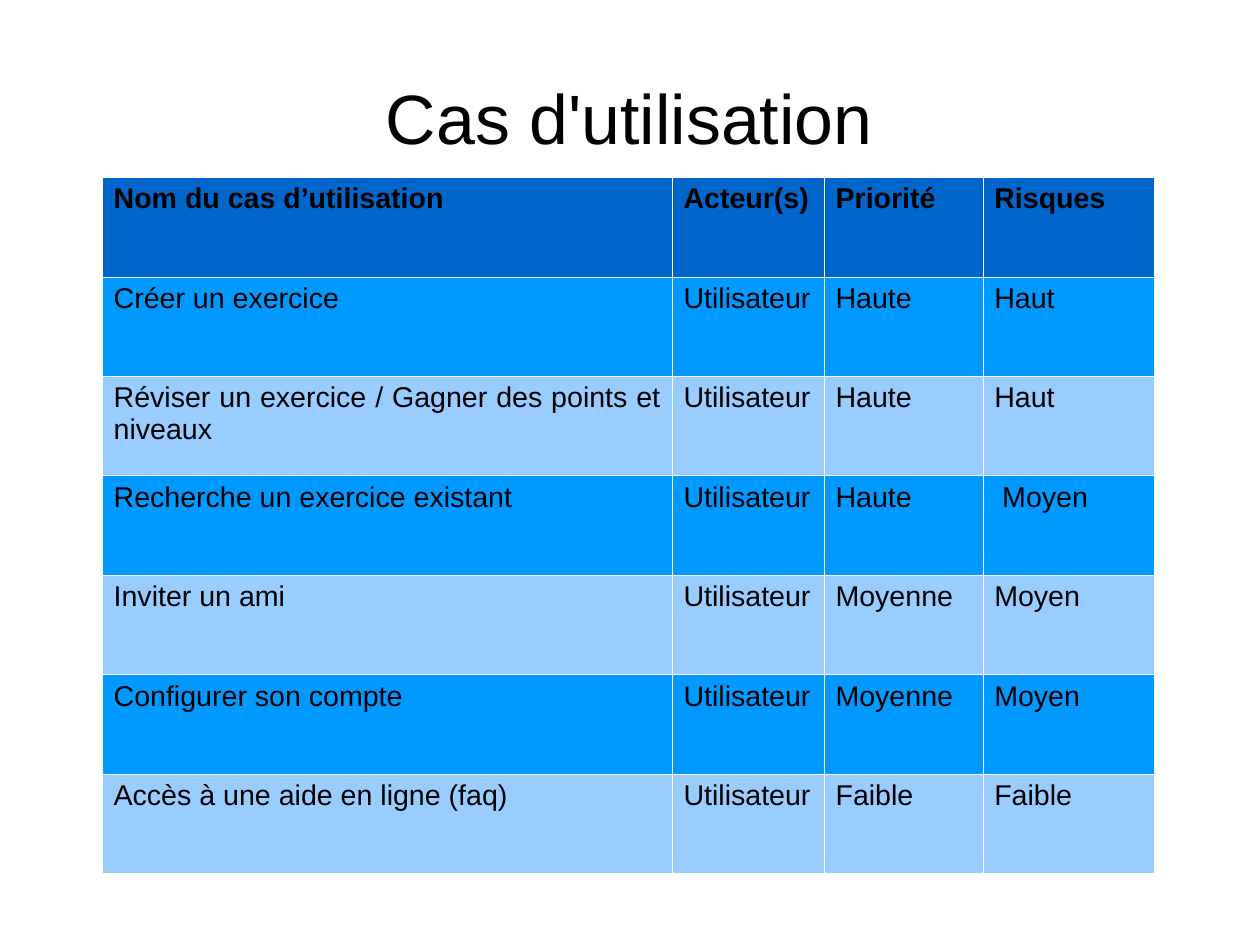
from dataclasses import dataclass

from lxml.etree import SubElement
from pptx import Presentation
from pptx.dml.color import RGBColor
from pptx.enum.text import MSO_ANCHOR, PP_ALIGN
from pptx.oxml.ns import qn
from pptx.util import Pt


@dataclass(frozen=True)
class Theme:
    font: str = "Arial"
    text: str = "000000"
    header: str = "0066CC"
    bands: tuple = ("0099FF", "99CCFF")
    border: str = "FFFFFF"
    border_width: float = 0.06
    title_size: int = 44
    table_size: int = 18


theme = Theme()


def style_text(frame, size, alignment, bold=False):
    """Align and format every paragraph of a text frame."""
    for para in frame.paragraphs:
        para.alignment = alignment
        for span in para.runs:
            span.font.name = theme.font
            span.font.size = Pt(size)
            span.font.bold = bold
            span.font.color.rgb = RGBColor.from_string(theme.text)


def add_borders(cell):
    """Draw a thin line on all four sides of a table cell."""
    properties = cell._tc.get_or_add_tcPr()
    for side in ("a:lnL", "a:lnR", "a:lnT", "a:lnB"):
        line = SubElement(properties, qn(side), w=str(Pt(theme.border_width)))
        fill = SubElement(line, qn("a:solidFill"))
        SubElement(fill, qn("a:srgbClr"), val=theme.border)


deck = Presentation()
deck.slide_width, deck.slide_height = Pt(793.7), Pt(595.28)
page = deck.slides.add_slide(deck.slide_layouts[6])

# Title
title = page.shapes.add_textbox(Pt(39.6), Pt(23.8), Pt(714), Pt(99.4))
frame = title.text_frame
frame.word_wrap = True
frame.vertical_anchor = MSO_ANCHOR.MIDDLE
frame.margin_left = frame.margin_right = frame.margin_top = frame.margin_bottom = 0
frame.text = "Cas d'utilisation"
style_text(frame, theme.title_size, PP_ALIGN.CENTER)

# Use case table
use_cases = [
    ("Nom du cas d’utilisation", "Acteur(s)", "Priorité", "Risques"),
    ("Créer un exercice", "Utilisateur", "Haute", "Haut"),
    ("Réviser un exercice / Gagner des points et niveaux", "Utilisateur", "Haute", "Haut"),
    ("Recherche un exercice existant", "Utilisateur", "Haute", " Moyen"),
    ("Inviter un ami", "Utilisateur", "Moyenne", "Moyen"),
    ("Configurer son compte", "Utilisateur", "Moyenne", "Moyen"),
    ("Accès à une aide en ligne (faq)", "Utilisateur", "Faible", "Faible"),
]
column_widths = (359, 95.8, 100, 107.6)
row_height = 62.65

table = page.shapes.add_table(
    len(use_cases), len(column_widths), Pt(64.4), Pt(111.6),
    Pt(sum(column_widths)), Pt(row_height * len(use_cases)),
).table
for column, width in zip(table.columns, column_widths):
    column.width = Pt(width)

for row_index, use_case in enumerate(use_cases):
    table.rows[row_index].height = Pt(row_height)
    is_header = row_index == 0
    color = theme.header if is_header else theme.bands[(row_index - 1) % 2]
    for column_index, value in enumerate(use_case):
        cell = table.cell(row_index, column_index)
        cell.margin_left = cell.margin_right = Pt(7.2)
        cell.margin_top = cell.margin_bottom = Pt(3.6)
        add_borders(cell)
        cell.fill.solid()
        cell.fill.fore_color.rgb = RGBColor.from_string(color)
        cell.text_frame.text = value
        style_text(cell.text_frame, theme.table_size, PP_ALIGN.JUSTIFY, is_header)

deck.save("out.pptx")
